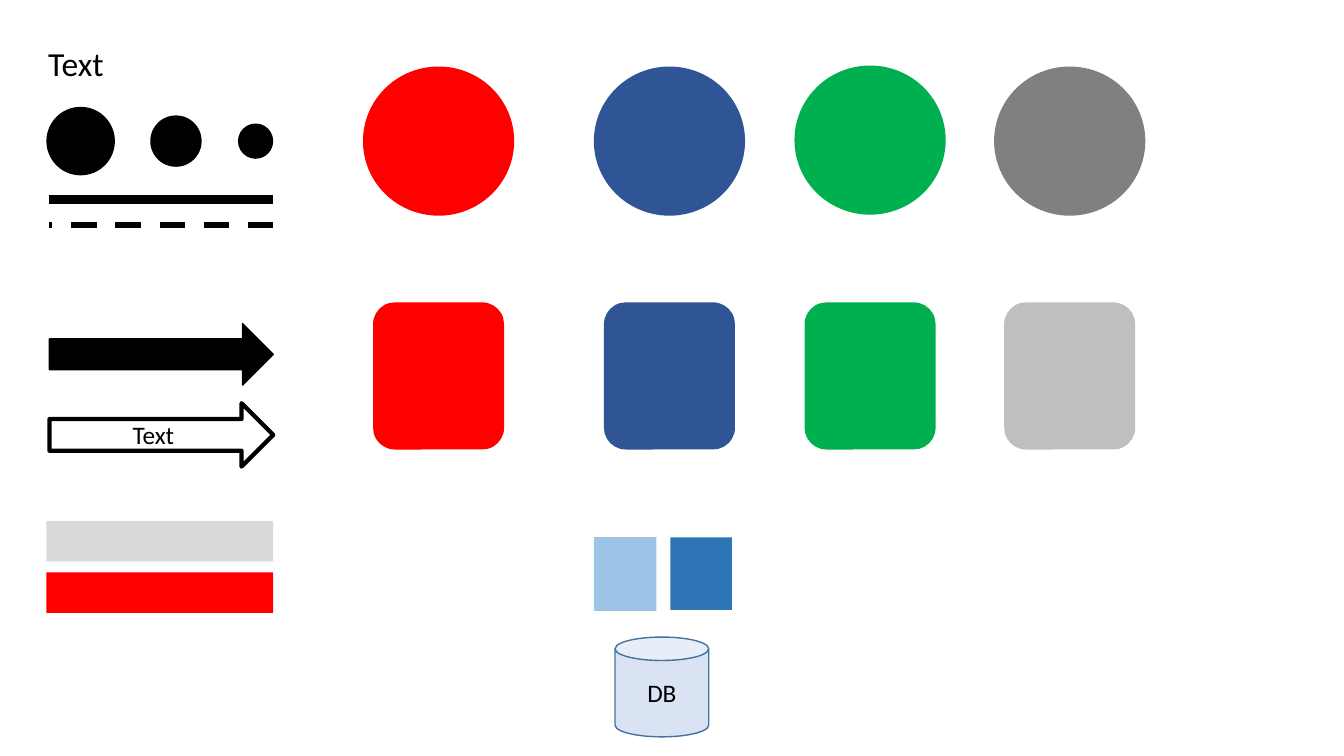
from typing import NamedTuple, Optional

from lxml.etree import SubElement
from pptx import Presentation
from pptx.dml.color import RGBColor
from pptx.enum.dml import MSO_LINE_DASH_STYLE as Dash
from pptx.enum.shapes import MSO_CONNECTOR as Conn, MSO_SHAPE as Shp
from pptx.enum.text import MSO_ANCHOR as Anchor, MSO_AUTO_SIZE as Fit, PP_ALIGN as Align
from pptx.oxml.ns import qn
from pptx.util import Inches, Pt

# Grid of square cells: 133.3 columns by 75 rows
CELL = Inches(0.1)
COLS, ROWS = 133.3, 75
FONT = "Calibri"
COLORS = {
    "black": "000000", "white": "FFFFFF", "red": "FF0000", "navy": "2F5597",
    "green": "00B050", "gray": "808080", "silver": "BFBFBF", "pale": "D9D9D9",
    "blue": "2E75B6", "sky": "9DC3E6", "ice": "DAE3F3", "steel": "43739E",
}


class Item(NamedTuple):
    kind: Shp
    col: float
    row: float
    width: float
    height: float
    fill: str
    line: Optional[str] = None
    weight: float = 1
    label: str = ""


class Rule(NamedTuple):
    start: float
    end: float
    row: float
    weight: float
    dash: Optional[Dash] = None


def grid(n: float) -> int:
    return round(n * CELL)


def rgb(name: str) -> RGBColor:
    return RGBColor.from_string(COLORS[name])


def add_run(p, text: str, size: float) -> None:
    r = p.add_run()
    r.text = text
    r.font.name, r.font.size = FONT, Pt(size)
    r.font.color.rgb = rgb("black")


def draw_item(s, item: Item) -> None:
    sp = s.shapes.add_shape(item.kind, *map(grid, item[1:5]))
    sp.shadow.inherit = False
    sp.fill.solid()
    sp.fill.fore_color.rgb = rgb(item.fill)
    if item.line:
        sp.line.color.rgb = rgb(item.line)
        sp.line.width = Pt(item.weight)
    else:
        sp.line.fill.background()
    if item.label:
        tf = sp.text_frame
        tf.vertical_anchor = Anchor.MIDDLE
        p = tf.paragraphs[0]
        p.alignment = Align.CENTER
        add_run(p, item.label, 18)


def draw_rule(s, rule: Rule) -> None:
    y = grid(rule.row)
    sp = s.shapes.add_connector(Conn.STRAIGHT, grid(rule.start), y, grid(rule.end), y)
    sp.line.color.rgb = rgb("black")
    sp.line.width = Pt(rule.weight)
    if rule.dash:
        sp.line.dash_style = rule.dash
    SubElement(sp._element.spPr, qn("a:effectLst"))


def draw_heading(s, text: str) -> None:
    sp = s.shapes.add_textbox(*map(grid, (3.8, 3.8, 7.6, 5)))
    tf = sp.text_frame
    tf.word_wrap, tf.auto_size = False, Fit.SHAPE_TO_FIT_TEXT
    add_run(tf.paragraphs[0], text, 24)


prs = Presentation()
prs.slide_width, prs.slide_height = grid(COLS), grid(ROWS)
s = prs.slides.add_slide(prs.slide_layouts[6])

# Heading and lines
LEFT, RIGHT = 4.9, 27.1
draw_heading(s, "Text")
draw_rule(s, Rule(LEFT, RIGHT, 19.8, 6))
draw_rule(s, Rule(RIGHT, LEFT, 22.3, 4.5, Dash.DASH))

# Black dots, centred on one row
DOT_ROW = 14
for col, size in ((4.6, 6.8), (14.9, 5.1), (23.6, 3.5)):
    draw_item(s, Item(Shp.OVAL, col, DOT_ROW - size / 2, size, size, "black"))

# Large circles, each above a rounded box on the same centre
ROUND = Shp.FLOWCHART_ALTERNATE_PROCESS
for center, top, disc, kind, box in (
    (43.5, 6.6, "red", ROUND, "red"),
    (66.4, 6.6, "navy", ROUND, "navy"),
    (86.3, 6.5, "green", ROUND, "green"),
    (106.1, 6.6, "gray", Shp.ROUNDED_RECTANGLE, "silver"),
):
    draw_item(s, Item(Shp.OVAL, center - 7.5, top, 15, 14.8, disc))
    draw_item(s, Item(kind, center - 6.5, 30, 13, 14.6, box))

# Arrows, bars, swatches and database
for item in (
    Item(Shp.RIGHT_ARROW, LEFT, 32.1, RIGHT - LEFT, 6.1, "black", "black"),
    Item(Shp.RIGHT_ARROW, LEFT, 40, RIGHT - LEFT, 6.3, "white", "black", 3, "Text"),
    Item(Shp.RECTANGLE, 4.6, 51.7, 22.5, 4, "pale"),
    Item(Shp.RECTANGLE, 4.6, 56.8, 22.5, 4, "red"),
    Item(Shp.RECTANGLE, 58.9, 53.3, 6.2, 7.3, "sky"),
    Item(Shp.RECTANGLE, 66.5, 53.3, 6.1, 7.2, "blue"),
    Item(Shp.CAN, 61, 63.2, 9.3, 9.9, "ice", "steel", 1, "DB"),
):
    draw_item(s, item)

prs.save("out.pptx")
